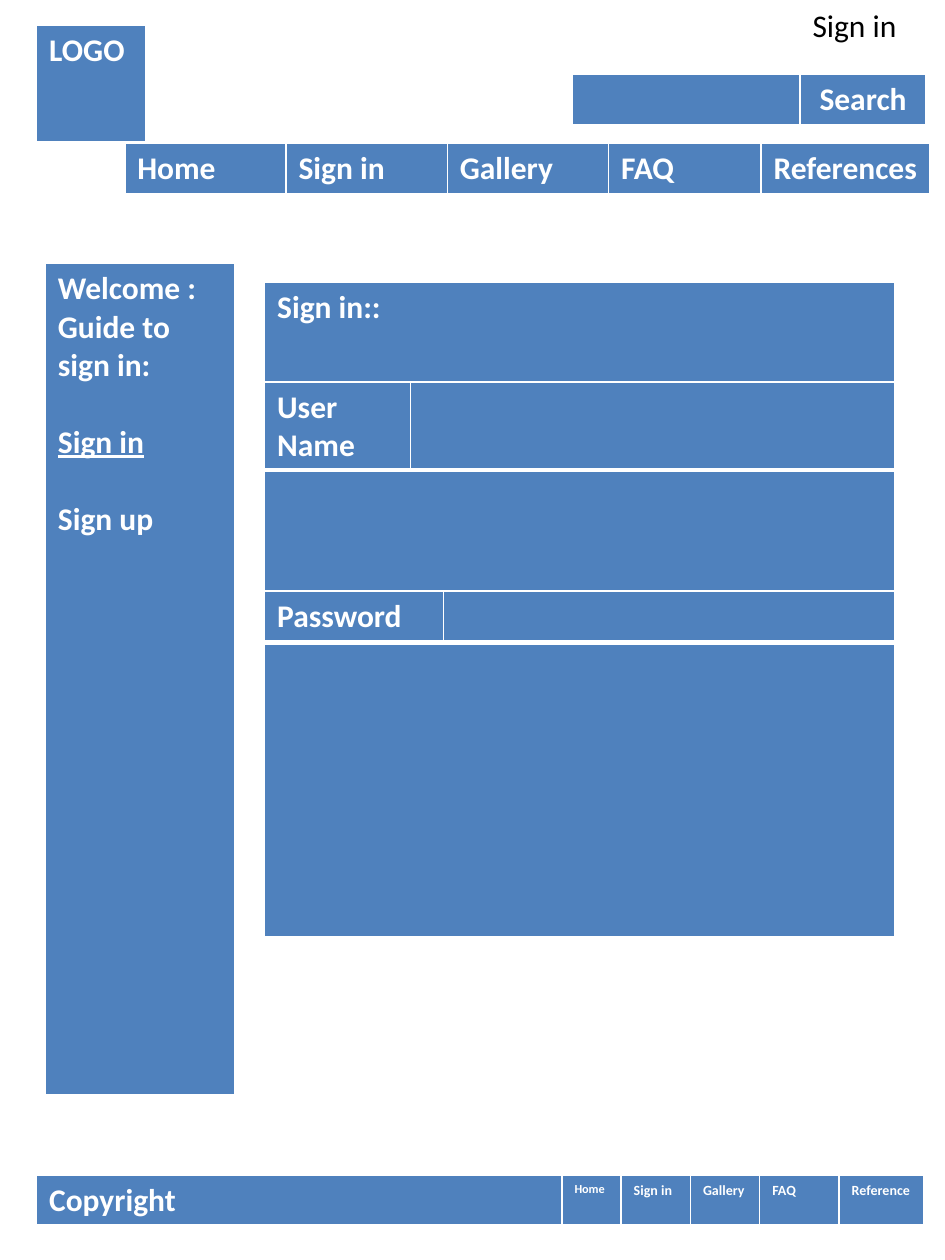
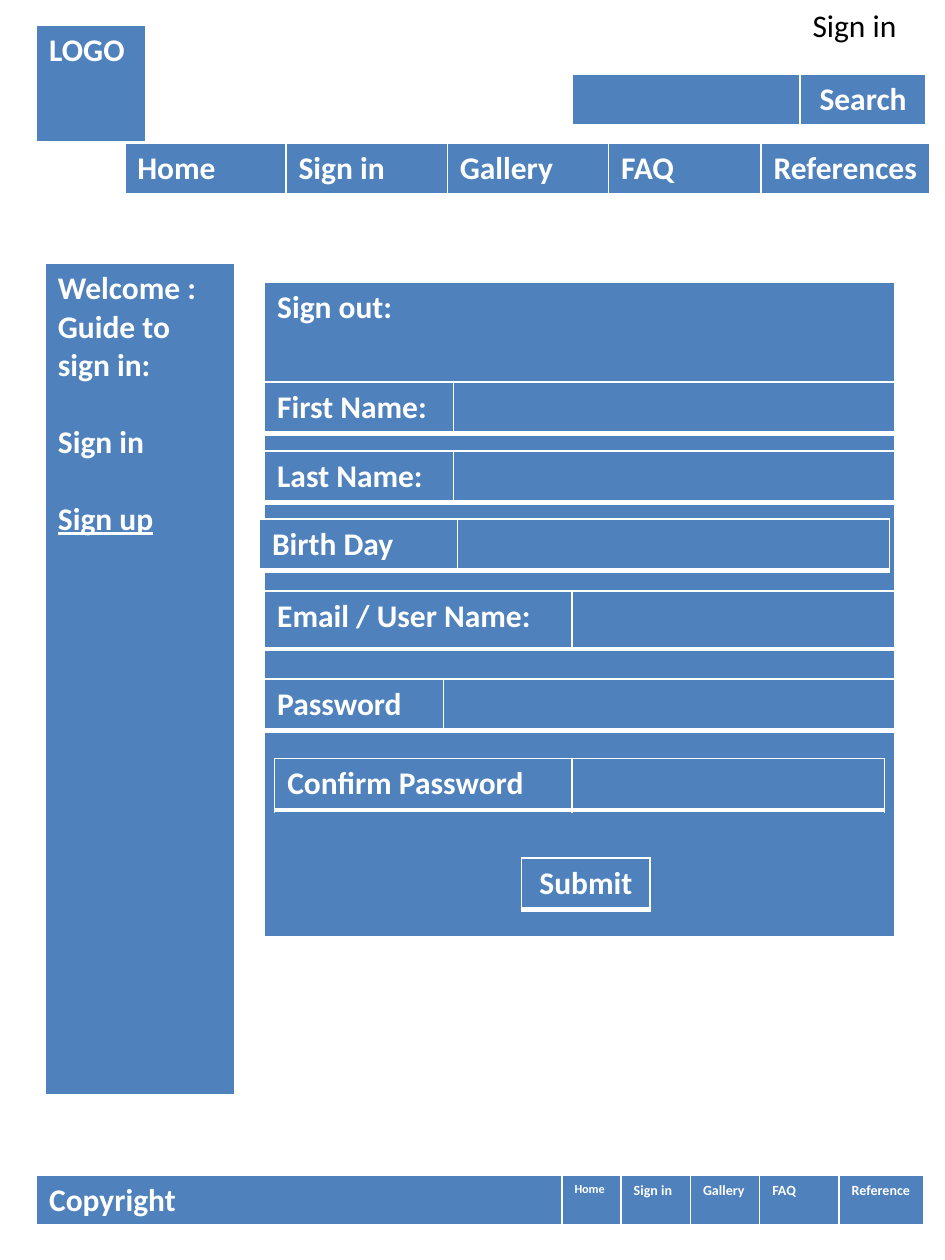
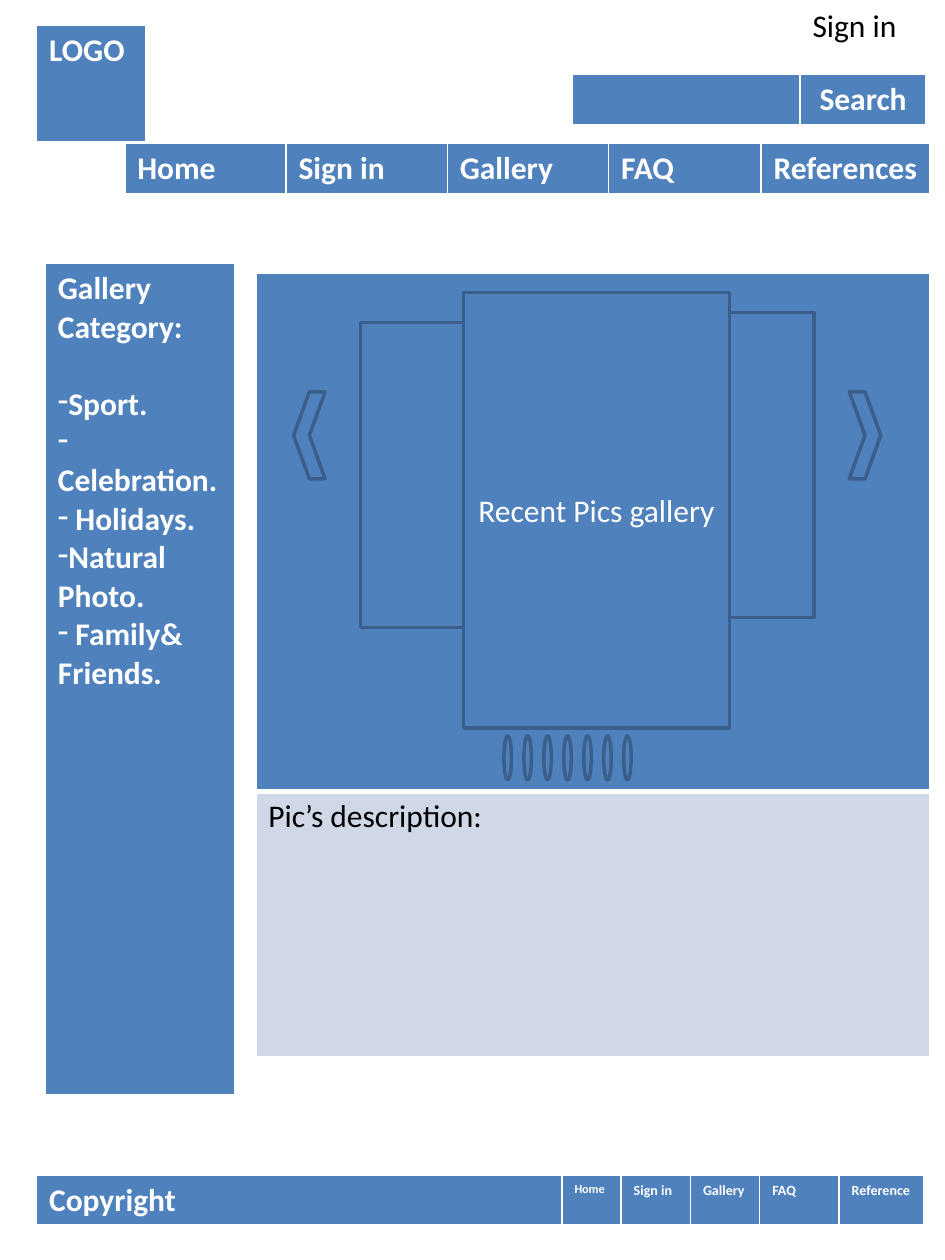
from lxml import etree
from pptx import Presentation
from pptx.dml.color import RGBColor
from pptx.enum.shapes import MSO_SHAPE
from pptx.enum.text import MSO_ANCHOR, MSO_AUTO_SIZE, PP_ALIGN
from pptx.oxml.ns import qn
from pptx.util import Inches, Pt

CENTER = PP_ALIGN.CENTER
MIDDLE = MSO_ANCHOR.MIDDLE
FIT_SHAPE = MSO_AUTO_SIZE.SHAPE_TO_FIT_TEXT
CHEVRON = MSO_SHAPE.CHEVRON
RECTANGLE = MSO_SHAPE.RECTANGLE
DOT = MSO_SHAPE.FLOWCHART_CONNECTOR

FONT = "Calibri"
BLUE, PALE, OUTLINE = "4F81BD", "D0D8E8", "3A5F8C"
WHITE, BLACK = "FFFFFF", "000000"
ROW = 0.41
LINE_GAP = 22

SEARCH = [("",), ("Search", {"align": CENTER})]
NAVIGATION = [("Home",), ("Sign in",), ("Gallery",), ("FAQ",), ("References",)]
FOOTER = [("Copyright",), ("Home", {"size": 7})] + [
    (label, {"size": 8}) for label in ("Sign in", "Gallery", "FAQ", "Reference")]

CATEGORIES = ["Sport.", " Celebration.", " Holidays.", "Natural Photo.", " Family& Friends."]
GALLERY_MENU = [("Gallery Category:",)] + [
    (name, {"bullet": "-", "space": 0 if index else LINE_GAP})
    for index, name in enumerate(CATEGORIES)]

FORM_LEFT, FORM_WIDTH = 2.1, 5
SIGN_IN_FIELDS = [
    ("User Name", FORM_LEFT, 3.03, 1.16, FORM_WIDTH, 0.7),
    ("Password", FORM_LEFT, 4.69, 1.42, FORM_WIDTH, ROW),
]
SIGN_UP_FIELDS = [
    ("First Name:", FORM_LEFT, 3.03, 1.5, FORM_WIDTH, ROW),
    ("Password", FORM_LEFT, 5.39, 1.42, FORM_WIDTH, ROW),
    ("Email / User Name:", FORM_LEFT, 4.69, 2.44, FORM_WIDTH, 0.46),
    ("Last Name:", FORM_LEFT, 3.58, 1.5, FORM_WIDTH, ROW),
    ("Birth Day", 2.06, 4.12, 1.57, FORM_WIDTH, ROW),
    ("Confirm Password", 2.18, 6.02, 2.36, 4.84, ROW),
]

GALLERY_SHAPES = [
    (CHEVRON, 6.74, 3.11, 0.25, 0.69, 0),
    (CHEVRON, 2.33, 3.11, 0.25, 0.69, 180),
    (RECTANGLE, 5.17, 2.48, 1.29, 2.42, 0),
    (RECTANGLE, 2.86, 2.56, 1.59, 2.42, 0),
]
DOT_COUNT, FIRST_DOT, LAST_DOT = 7, 4, 4.95


def color(value):
    return RGBColor.from_string(value)


def write(frame, text, size=18, ink=WHITE, bold=True, underline=False,
          align=None, space=0, bullet=None):
    paragraph = frame.paragraphs[0]
    if paragraph.runs:
        paragraph = frame.add_paragraph()
    paragraph.alignment = align
    if space:
        paragraph.space_before = Pt(space)
    if bullet:
        properties = paragraph._p.get_or_add_pPr()
        etree.SubElement(properties, qn("a:buFontTx"))
        etree.SubElement(properties, qn("a:buChar"), char=bullet)
    run = paragraph.add_run()
    run.text = text
    run.font.name = FONT
    run.font.size = Pt(size)
    run.font.bold = bold
    if underline:
        run.font.underline = True
    run.font.color.rgb = color(ink)


def set_borders(cell, bottom):
    properties = cell._tc.get_or_add_tcPr()
    widths = [("a:lnL", 1), ("a:lnR", 1), ("a:lnT", 1), ("a:lnB", bottom)]
    for index, (tag, width) in enumerate(widths):
        line = etree.Element(qn(tag), w=str(Pt(width)))
        fill = etree.SubElement(line, qn("a:solidFill"))
        etree.SubElement(fill, qn("a:srgbClr"), val=WHITE)
        properties.insert(index, line)


def format_cell(cell, paragraphs, fill=BLUE, bottom=3):
    cell.fill.solid()
    cell.fill.fore_color.rgb = color(fill)
    set_borders(cell, bottom)
    for text, *options in paragraphs:
        if text:
            write(cell.text_frame, text, **(options[0] if options else {}))


def add_grid(slide, left, top, widths, heights):
    table = slide.shapes.add_table(
        len(heights), len(widths), Inches(left), Inches(top),
        Inches(sum(widths)), Inches(sum(heights))).table
    table.horz_banding = False
    for column, width in zip(table.columns, widths):
        column.width = Inches(width)
    for row, height in zip(table.rows, heights):
        row.height = Inches(height)
    return table


def add_bar(slide, left, top, widths, height, labels):
    table = add_grid(slide, left, top, widths, [height])
    for column, label in enumerate(labels):
        format_cell(table.cell(0, column), [label])


def add_panel(slide, left, top, width, height, paragraphs):
    table = add_grid(slide, left, top, [width], [height])
    format_cell(table.cell(0, 0), paragraphs)


def add_page(presentation, menu):
    slide = presentation.slides.add_slide(presentation.slide_layouts[6])
    add_panel(slide, 0.29, 0.2, 0.87, 0.94, [("LOGO",)])
    add_bar(slide, 0.99, 1.14, [1.28, 1.28, 1.28, 1.21, 1.34], ROW, NAVIGATION)
    add_bar(slide, 4.54, 0.59, [1.81, 1], ROW, SEARCH)
    add_bar(slide, 0.29, 9.33, [4.17, 0.47, 0.55, 0.55, 0.63, 0.67], 0.4, FOOTER)
    add_panel(slide, 0.36, 2.09, 1.5, 6.61, menu)
    account = slide.shapes.add_textbox(Inches(6.35), 0, Inches(0.88), Inches(0.4))
    account.text_frame.word_wrap = False
    account.text_frame.auto_size = FIT_SHAPE
    write(account.text_frame, "Sign in", ink=BLACK, bold=False)
    return slide


def add_form_page(presentation, current, heading, fields):
    menu = [("Welcome :",), ("Guide to sign in:",)] + [
        (label, {"space": LINE_GAP, "underline": label == current})
        for label in ("Sign in", "Sign up")]
    slide = add_page(presentation, menu)
    add_panel(slide, FORM_LEFT, 2.24, FORM_WIDTH, 5.21, [(heading,)])
    for label, left, top, label_width, width, height in fields:
        add_bar(slide, left, top, [label_width, width - label_width], height,
                [(label,), ("",)])
    return slide


def add_outlined(slide, kind, left, top, width, height, rotation=0):
    shape = slide.shapes.add_shape(
        kind, Inches(left), Inches(top), Inches(width), Inches(height))
    shape.shadow.inherit = False
    shape.rotation = rotation
    shape.fill.solid()
    shape.fill.fore_color.rgb = color(BLUE)
    shape.line.color.rgb = color(OUTLINE)
    shape.line.width = Pt(2)
    return shape


def add_gallery_page(presentation):
    slide = add_page(presentation, GALLERY_MENU)
    table = add_grid(slide, 2.03, 2.17, [5.35], [4.11, 2.11])
    format_cell(table.cell(0, 0), [])
    description = ("Pic’s description:", {"ink": BLACK, "bold": False})
    format_cell(table.cell(1, 0), [description], fill=PALE, bottom=1)
    for geometry in GALLERY_SHAPES:
        add_outlined(slide, *geometry)
    front = add_outlined(slide, RECTANGLE, 3.68, 2.32, 2.11, 3.46)
    front.text_frame.word_wrap = True
    front.text_frame.vertical_anchor = MIDDLE
    write(front.text_frame, "Recent Pics gallery", bold=False, align=CENTER)
    step = (LAST_DOT - FIRST_DOT) / (DOT_COUNT - 1)
    for index in range(DOT_COUNT):
        add_outlined(slide, DOT, FIRST_DOT + index * step, 5.84, 0.06, 0.35)


def main():
    presentation = Presentation()
    presentation.slide_width = Inches(7.5)
    presentation.slide_height = Inches(10)
    add_form_page(presentation, "Sign in", "Sign in::", SIGN_IN_FIELDS)
    sign_up = add_form_page(presentation, "Sign up", "Sign out:", SIGN_UP_FIELDS)
    add_panel(sign_up, 4.14, 6.81, 1.02, ROW, [("Submit", {"align": CENTER})])
    add_gallery_page(presentation)
    presentation.save("out.pptx")


if __name__ == "__main__":
    main()
